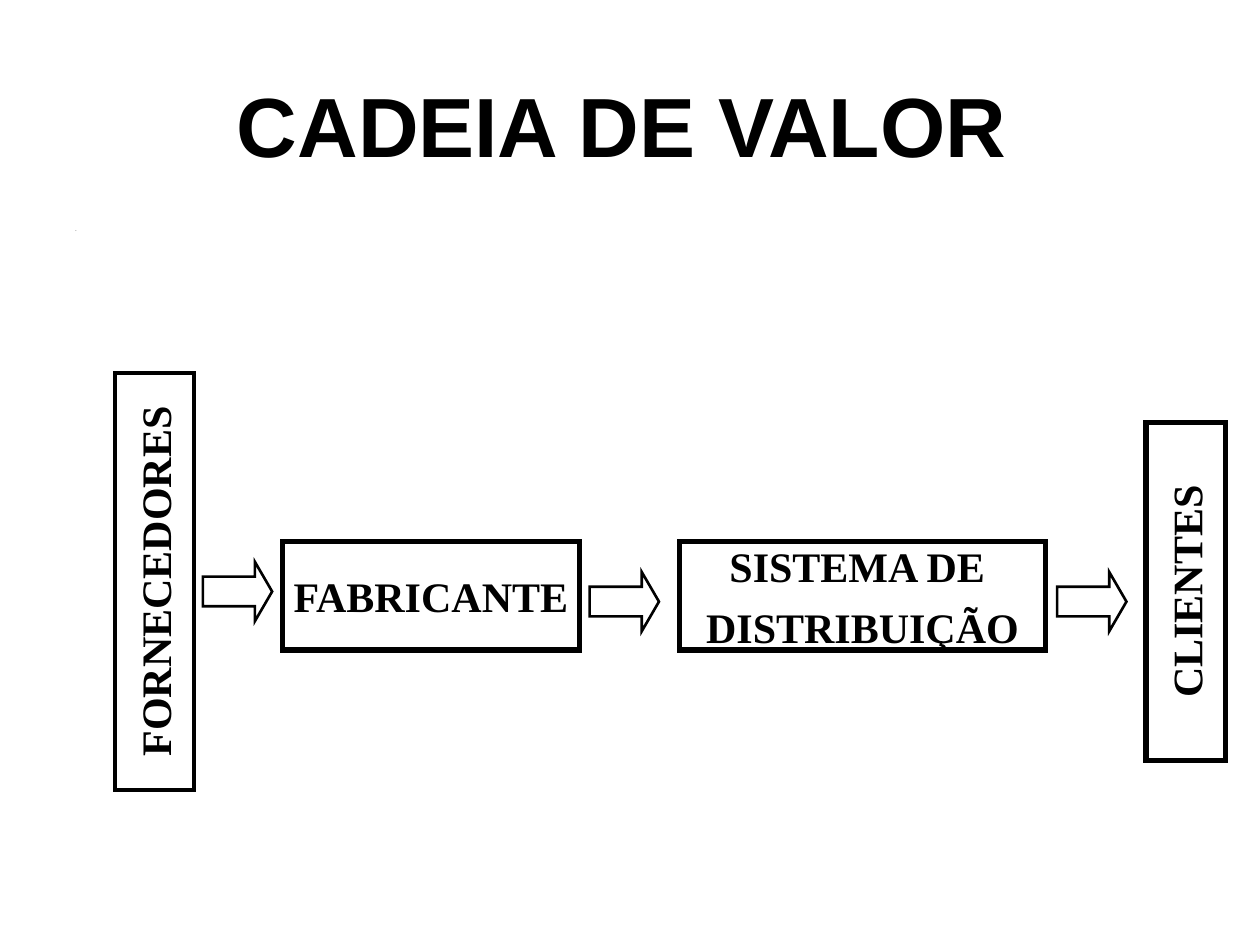
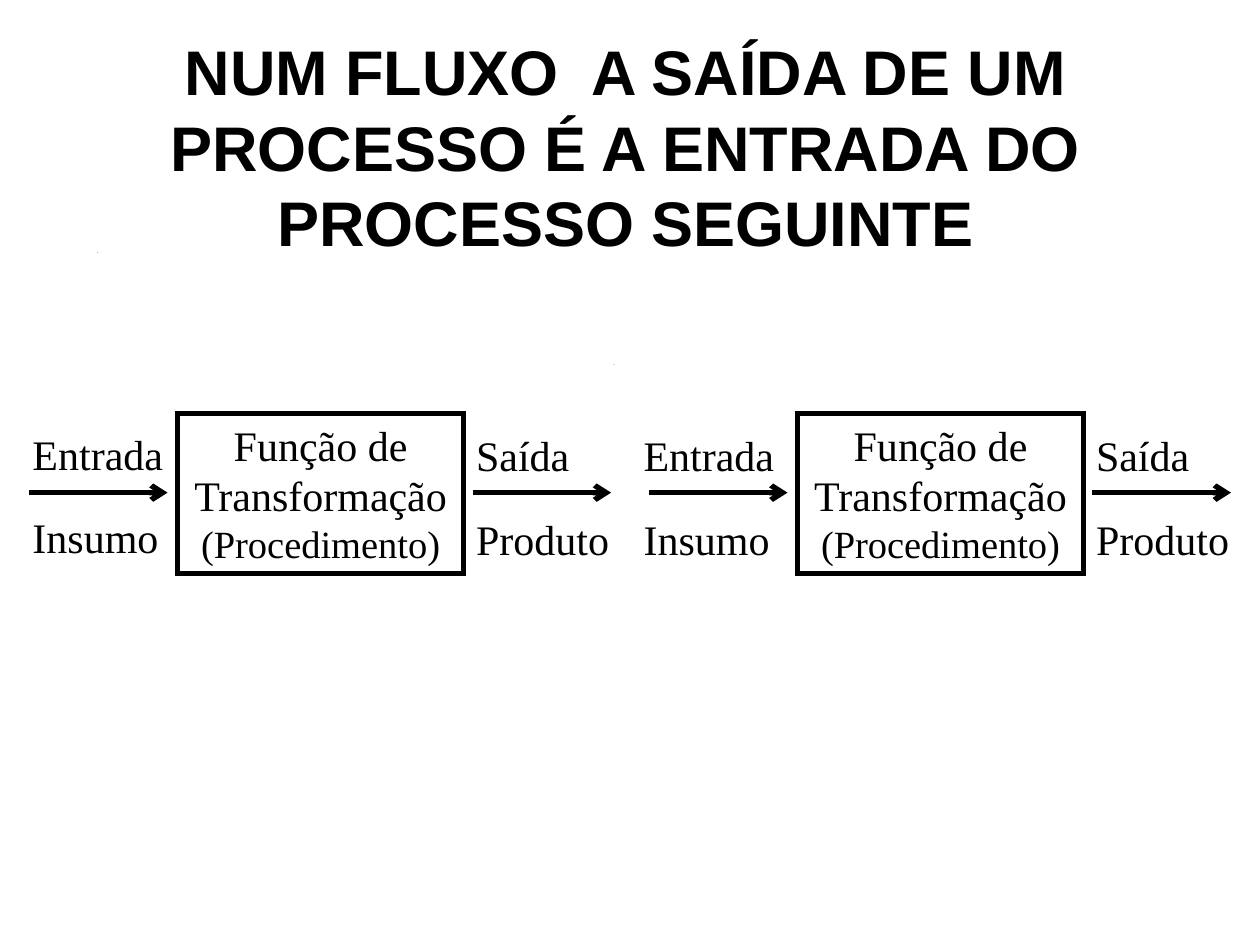
"""Build two slides on the value chain and the flow between processes."""
from dataclasses import dataclass

from lxml.etree import SubElement
from pptx import Presentation
from pptx.dml.color import RGBColor
from pptx.enum.shapes import MSO_CONNECTOR, MSO_SHAPE
from pptx.enum.text import MSO_ANCHOR, MSO_AUTO_SIZE, PP_ALIGN
from pptx.oxml.ns import qn
from pptx.shapes.autoshape import Shape
from pptx.slide import Slide
from pptx.text.text import TextFrame
from pptx.util import Inches, Pt

BLACK = RGBColor(0x00, 0x00, 0x00)
TITLE_FONT = "Arial"
BODY_FONT = "Times New Roman"
DOT_FONT = "Calibri"
ARROW_LENGTH = 1.1
FLOW_Y = 3.91


@dataclass(frozen=True)
class Box:
    left: float
    top: float
    width: float
    height: float


@dataclass(frozen=True)
class Line:
    text: str
    size: float = 24
    bold: bool = False
    font: str = BODY_FONT
    before: float = 0


@dataclass(frozen=True)
class Link:
    box: Box
    words: tuple[str, ...]
    border: float = 3
    rotation: float = 0


@dataclass(frozen=True)
class Stage:
    left: float
    entry_left: float
    entry_top: float


CHAIN = (
    Link(Box(2.24, 4.3, 2.36, 0.86), ("FABRICANTE",)),
    Link(Box(5.39, 4.3, 2.91, 0.86), ("SISTEMA DE ", "DISTRIBUIÇÃO")),
    Link(Box(-0.43, 4.3, 3.31, 0.63), ("FORNECEDORES",), 2.25, 270),
    Link(Box(8.07, 4.38, 2.68, 0.63), ("CLIENTES",), 3, 270),
)
CHAIN_ARROWS = ((1.61, 4.46), (4.68, 4.54), (8.39, 4.54))
STAGES = (Stage(0.23, 0.16, 3.35), Stage(5.15, 5.01, 3.36))
FUNCTION_LINES = (Line("Função de Transformação"), Line("(Procedimento)", 22))


def place(box: Box) -> tuple[Inches, Inches, Inches, Inches]:
    return Inches(box.left), Inches(box.top), Inches(box.width), Inches(box.height)


def write(frame: TextFrame, lines: tuple[Line, ...], align: PP_ALIGN) -> None:
    for index, line in enumerate(lines):
        paragraph = frame.add_paragraph() if index else frame.paragraphs[0]
        paragraph.alignment = align
        paragraph.space_before = Pt(line.before)
        run = paragraph.add_run()
        run.text = line.text
        run.font.name = line.font
        run.font.size = Pt(line.size)
        run.font.bold = line.bold
        run.font.color.rgb = BLACK


def add_titled_slide(deck: Presentation, text: str, size: float, box: Box,
                     anchor: MSO_ANCHOR) -> Slide:
    slide = deck.slides.add_slide(deck.slide_layouts[5])
    title = slide.shapes.title
    title.left, title.top, title.width, title.height = place(box)
    frame = title.text_frame
    frame.auto_size = MSO_AUTO_SIZE.NONE
    frame.word_wrap = True
    frame.vertical_anchor = anchor
    write(frame, (Line(text, size, True, TITLE_FONT),), PP_ALIGN.CENTER)
    return slide


def add_outline(slide: Slide, kind: MSO_SHAPE, box: Box, border: float) -> Shape:
    outline = slide.shapes.add_shape(kind, *place(box))
    outline.shadow.inherit = False
    outline.fill.background()
    outline.line.color.rgb = BLACK
    outline.line.width = Pt(border)
    SubElement(outline.line._get_or_add_ln(), qn("a:miter"), lim="800000")
    return outline


def add_link(slide: Slide, link: Link) -> None:
    outline = add_outline(slide, MSO_SHAPE.RECTANGLE, link.box, link.border)
    outline.rotation = link.rotation
    frame = outline.text_frame
    frame.word_wrap = False
    frame.vertical_anchor = MSO_ANCHOR.MIDDLE
    lines = tuple(Line(word, bold=True, before=6) for word in link.words)
    write(frame, lines, PP_ALIGN.CENTER)


def add_chain_arrow(slide: Slide, left: float, top: float) -> None:
    arrow = add_outline(slide, MSO_SHAPE.RIGHT_ARROW, Box(left, top, 0.55, 0.47), 1.5)
    arrow.adjustments[0] = 0.5
    arrow.adjustments[1] = 0.29


def add_dot(slide: Slide, left: float, top: float) -> None:
    dot = slide.shapes.add_textbox(*place(Box(left, top, 9, 4.95)))
    dot.text_frame.word_wrap = True
    write(dot.text_frame, (Line(".", 3, font=DOT_FONT, before=0.7),), PP_ALIGN.LEFT)


def add_flow_arrow(slide: Slide, left: float) -> None:
    y = Inches(FLOW_Y)
    arrow = slide.shapes.add_connector(
        MSO_CONNECTOR.STRAIGHT, Inches(left), y, Inches(left + ARROW_LENGTH), y)
    arrow.line.color.rgb = BLACK
    arrow.line.width = Pt(3)
    SubElement(arrow.line._get_or_add_ln(), qn("a:tailEnd"), type="arrow")
    SubElement(arrow._element.spPr, qn("a:effectLst"))


def add_flow_label(slide: Slide, box: Box, above: str, below: str) -> None:
    label = slide.shapes.add_textbox(*place(box))
    label.text_frame.word_wrap = True
    label.text_frame.margin_right = 0
    write(label.text_frame, (Line(above), Line(below, before=19)), PP_ALIGN.LEFT)


def add_stage(slide: Slide, stage: Stage) -> None:
    function = add_outline(
        slide, MSO_SHAPE.RECTANGLE, Box(stage.left + 1.18, 3.28, 2.27, 1.27), 3)
    function.text_frame.word_wrap = True
    function.text_frame.vertical_anchor = MSO_ANCHOR.TOP
    write(function.text_frame, FUNCTION_LINES, PP_ALIGN.CENTER)
    for offset in (0, 3.52):
        add_flow_arrow(slide, stage.left + offset)
    add_flow_label(slide, Box(stage.entry_left, stage.entry_top, 1.23, 1.17),
                   "Entrada", "Insumo")
    add_flow_label(slide, Box(stage.left + 3.45, 3.36, 1.25, 1.17), "Saída", "Produto")


def build_value_chain(deck: Presentation) -> None:
    slide = add_titled_slide(deck, "CADEIA DE VALOR", 48,
                             Box(0.2, 0.53, 9.47, 1.25), MSO_ANCHOR.TOP)
    add_dot(slide, 0.5, 1.75)
    for link in CHAIN:
        add_link(slide, link)
    for left, top in CHAIN_ARROWS:
        add_chain_arrow(slide, left, top)


def build_process_flow(deck: Presentation) -> None:
    slide = add_titled_slide(
        deck, "NUM FLUXO  A SAÍDA DE UM PROCESSO É A ENTRADA DO PROCESSO SEGUINTE",
        36, Box(0.16, 1.22, 9.61, 0.89), MSO_ANCHOR.BOTTOM)
    for left, top in ((4.77, 2.81), (0.67, 1.92)):
        add_dot(slide, left, top)
    for stage in STAGES:
        add_stage(slide, stage)


def main() -> None:
    deck = Presentation()
    deck.slide_width = Inches(10)
    deck.slide_height = Inches(7.5)
    build_value_chain(deck)
    build_process_flow(deck)
    deck.save("out.pptx")


if __name__ == "__main__":
    main()
